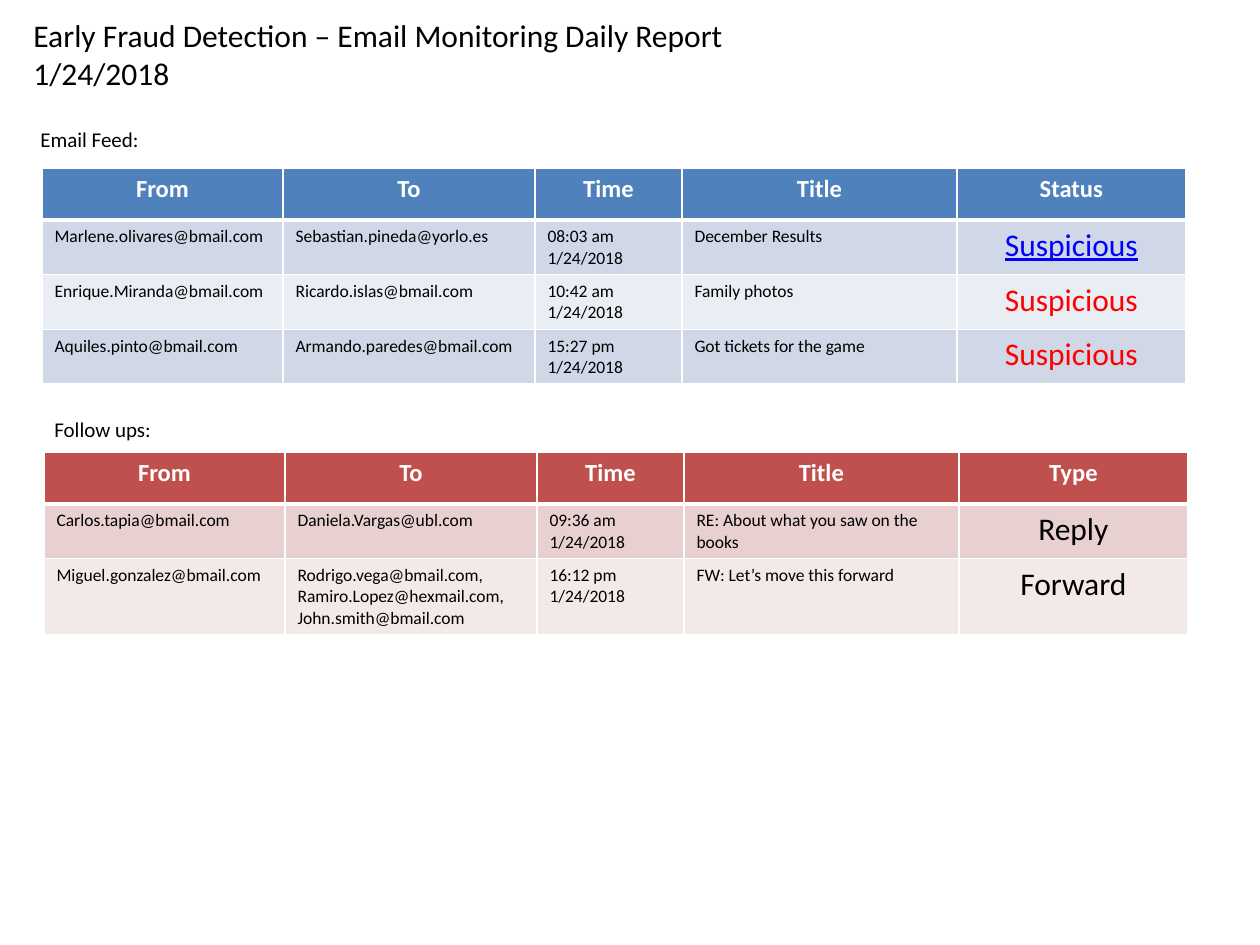
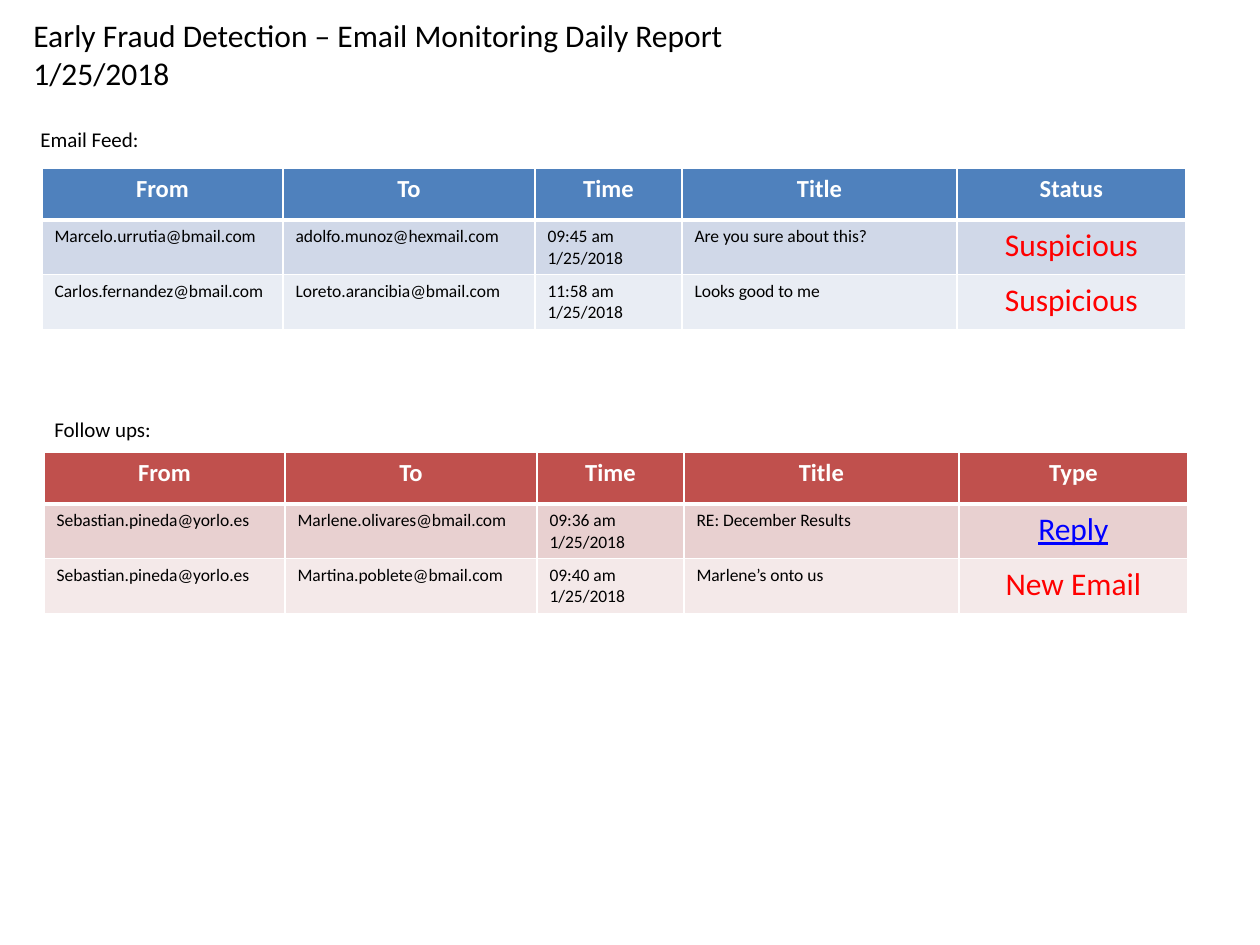
from pptx import Presentation
from pptx.dml.color import RGBColor as RGB
from pptx.enum.text import MSO_ANCHOR as ANCHOR, MSO_AUTO_SIZE as FIT, PP_ALIGN as ALIGN
from pptx.oxml import parse_xml
from pptx.oxml.ns import nsdecls
from pptx.util import Emu, Pt

TITLE = "Early Fraud Detection – Email Monitoring Daily Report"
COLUMNS = ["From", "To", "Time", "Title"]
REPORTS = [
    {
        "date": "1/24/2018",
        "feed": [
            ("Marlene.olivares@bmail.com", "Sebastian.pineda@yorlo.es", "08:03 am 1/24/2018",
             "December Results", "Suspicious", "link"),
            ("Enrique.Miranda@bmail.com", "Ricardo.islas@bmail.com", "10:42 am 1/24/2018",
             "Family photos", "Suspicious", "alert"),
            ("Aquiles.pinto@bmail.com", "Armando.paredes@bmail.com", "15:27 pm 1/24/2018",
             "Got tickets for the game", "Suspicious", "alert"),
        ],
        "follow": [
            ("Carlos.tapia@bmail.com", "Daniela.Vargas@ubl.com", "09:36 am 1/24/2018",
             "RE: About what you saw on the books", "Reply", "plain"),
            ("Miguel.gonzalez@bmail.com",
             "Rodrigo.vega@bmail.com,\nRamiro.Lopez@hexmail.com,\nJohn.smith@bmail.com",
             "16:12 pm 1/24/2018", "FW: Let’s move this forward", "Forward", "plain"),
        ],
    },
    {
        "date": "1/25/2018",
        "feed": [
            ("Marcelo.urrutia@bmail.com", "adolfo.munoz@hexmail.com", "09:45 am 1/25/2018",
             "Are you sure about this?", "Suspicious", "alert"),
            ("Carlos.fernandez@bmail.com", "Loreto.arancibia@bmail.com", "11:58 am 1/25/2018",
             "Looks good to me", "Suspicious", "alert"),
        ],
        "follow": [
            ("Sebastian.pineda@yorlo.es", "Marlene.olivares@bmail.com", "09:36 am 1/25/2018",
             "RE: December Results", "Reply", "link"),
            ("Sebastian.pineda@yorlo.es", "Martina.poblete@bmail.com", "09:40 am\n1/25/2018",
             "Marlene’s onto us", "New Email", "alert"),
        ],
    },
]

THEME = {
    "font": "Calibri",
    "border": "FFFFFF",
    "text": {
        "title": {"size": 18, "color": "000000"},
        "label": {"size": 12, "color": "000000"},
        "header": {"size": 14, "color": "FFFFFF", "bold": True},
        "body": {"size": 10, "color": "000000"},
        "plain": {"size": 18, "color": "000000"},
        "alert": {"size": 18, "color": "FF0000"},
        "link": {"size": 18, "color": "0000FF", "underline": True},
    },
}
SECTIONS = [
    {"key": "feed", "label": "Email Feed:", "last": "Status", "label_box": (28, 95, 305, 63),
     "at": (42, 168), "fills": ("4F81BD", "D0D8E8", "E9EDF4")},
    {"key": "follow", "label": "Follow ups:", "last": "Type", "label_box": (42, 410, 199, 38),
     "at": (44, 452), "fills": ("C0504D", "E8D0D0", "F4E9E9")},
]
TITLE_BOX = (21, 10, 861, 89)
COL_WIDTHS = (241, 252, 147, 275, 229)
ROW_HEIGHT = 52
SCALE = 914400 // 126


def px(n):
    return Emu(n * SCALE)


def write(tf, text, style, align=ALIGN.LEFT):
    fmt = {"bold": False, "underline": False, "name": THEME["font"], **THEME["text"][style]}
    color = RGB.from_string(fmt.pop("color"))
    fmt["size"] = Pt(fmt["size"])
    for i, line in enumerate(text.split("\n")):
        p = tf.paragraphs[0] if i == 0 else tf.add_paragraph()
        p.alignment = align
        r = p.add_run()
        r.text = line
        for name, value in fmt.items():
            setattr(r.font, name, value)
        r.font.color.rgb = color


def add_text(s, box, text, style, anchor=ANCHOR.TOP):
    tf = s.shapes.add_textbox(*map(px, box)).text_frame
    for name, value in {"word_wrap": True, "auto_size": FIT.SHAPE_TO_FIT_TEXT,
                        "vertical_anchor": anchor}.items():
        setattr(tf, name, value)
    write(tf, text, style)


def paint(cell, fill, widths):
    tc_pr = cell._tc.get_or_add_tcPr()
    for side, width in zip("LRTB", widths):
        tc_pr.append(parse_xml(
            f'<a:ln{side} {nsdecls("a")} w="{Pt(width)}"><a:solidFill>'
            f'<a:srgbClr val="{THEME["border"]}"/></a:solidFill></a:ln{side}>'))
    cell.fill.solid()
    cell.fill.fore_color.rgb = RGB.from_string(fill)


def add_mail_table(s, section, mails):
    head, *bands = section["fills"]
    header = (*COLUMNS, section["last"], "header")
    rows = [header, *mails]
    size = (sum(COL_WIDTHS), ROW_HEIGHT * len(rows))
    tbl = s.shapes.add_table(len(rows), len(COL_WIDTHS),
                             *map(px, section["at"] + size)).table
    tbl.horz_banding = False
    for col, width in zip(tbl.columns, COL_WIDTHS):
        col.width = px(width)
    for i, (*texts, last_style) in enumerate(rows):
        tbl.rows[i].height = px(ROW_HEIGHT)
        fill = bands[(i - 1) % 2] if i else head
        borders = (1, 1, 1 if i != 1 else 3, 1 if i else 3)
        for j, text in enumerate(texts):
            cell = tbl.cell(i, j)
            is_last = j == len(texts) - 1
            style = last_style if is_last or i == 0 else "body"
            paint(cell, fill, borders)
            write(cell.text_frame, text, style, ALIGN.LEFT if style == "body" else ALIGN.CENTER)


prs = Presentation()
prs.slide_width, prs.slide_height = px(1260), px(945)
for report in REPORTS:
    s = prs.slides.add_slide(prs.slide_layouts[6])
    add_text(s, TITLE_BOX, f"{TITLE}\n{report['date']}", "title")
    for section in SECTIONS:
        add_text(s, section["label_box"], section["label"], "label", ANCHOR.BOTTOM)
        add_mail_table(s, section, report[section["key"]])
prs.save("out.pptx")
